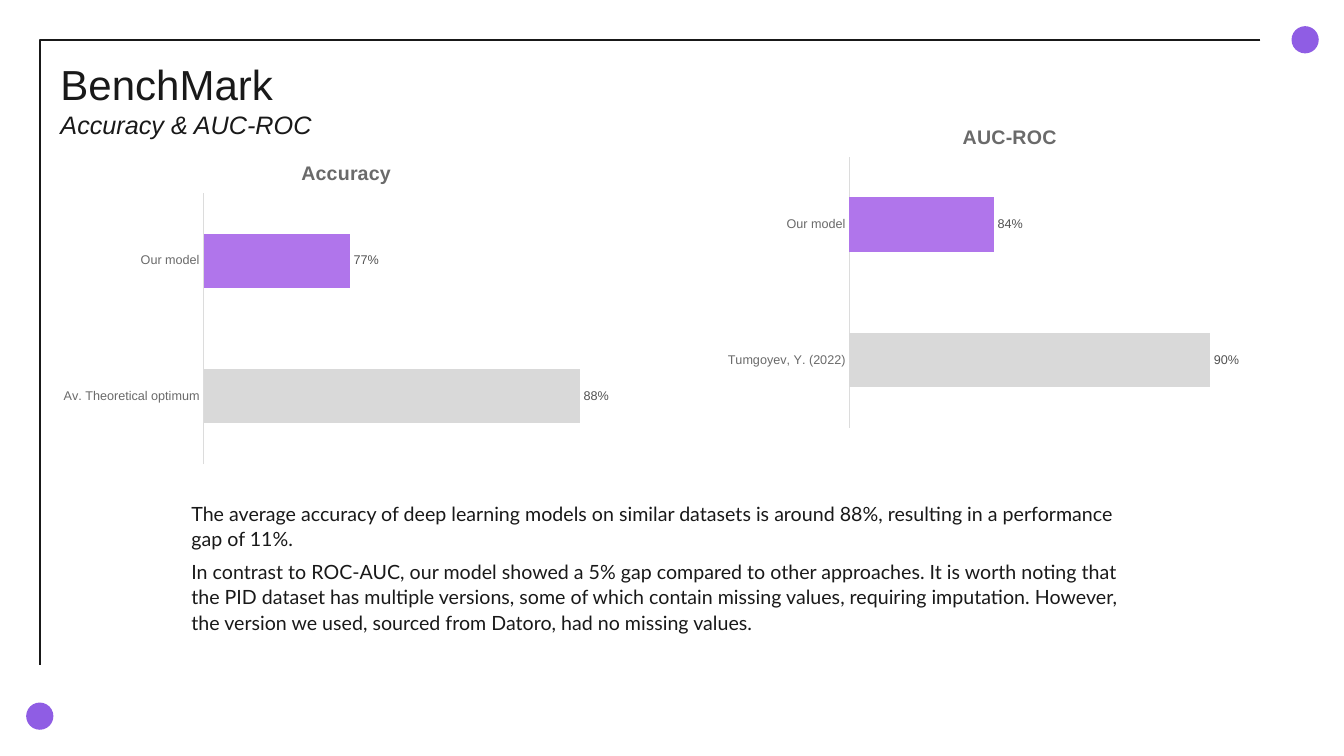
from dataclasses import dataclass

from lxml import etree
from pptx import Presentation
from pptx.chart.data import CategoryChartData
from pptx.dml.color import RGBColor
from pptx.enum.chart import XL_CHART_TYPE, XL_LABEL_POSITION, XL_TICK_MARK
from pptx.enum.shapes import MSO_SHAPE
from pptx.enum.text import MSO_ANCHOR, MSO_AUTO_SIZE, PP_ALIGN
from pptx.oxml.ns import qn
from pptx.util import Inches, Pt

BAR = XL_CHART_TYPE.BAR_CLUSTERED
LABEL_OUTSIDE = XL_LABEL_POSITION.OUTSIDE_END
NO_TICK = XL_TICK_MARK.NONE
ELLIPSE = MSO_SHAPE.OVAL
TOP, LEFT = MSO_ANCHOR.TOP, PP_ALIGN.LEFT
NO_FIT = MSO_AUTO_SIZE.NONE

COLORS = {
    "ink": "191919", "dot": "8F5DE4", "model": "B075EB", "reference": "D9D9D9",
    "axis": "DCDCDC", "category": "6A6A6A", "value": "525252",
}
COLUMNS, ROWS = 133.3, 75
CELL = Inches(0.1)
DOT_SIZE = 2.7


@dataclass(frozen=True)
class Area:
    """A place on the grid, in columns and rows."""
    column: float
    row: float
    columns: float
    rows: float

    def lengths(self) -> list[int]:
        return [round(n * CELL) for n in (self.column, self.row, self.columns, self.rows)]


@dataclass(frozen=True)
class Benchmark:
    title: str
    area: Area
    reference: str
    reference_score: float
    model_score: float
    axis_range: tuple[float, float]
    plot_left: float
    plot_width: float


BENCHMARKS = [
    Benchmark("Accuracy", Area(5, 13.9, 58.4, 32.8), "Av. Theoretical optimum",
              0.88, 0.77, (0.7, 0.9), 0.26, 0.71),
    Benchmark("AUC-ROC", Area(71.1, 10.3, 57.2, 32.8), "Tumgoyev, Y. (2022)",
              0.9, 0.84, (0.8, 0.92), 0.23, 0.75),
]
DOTS = [Area(128.1, 2.6, DOT_SIZE, DOT_SIZE), Area(2.6, 69.7, DOT_SIZE, DOT_SIZE)]
FRAME_CORNERS = [(124.7, 3.95), (4, 3.95), (4, 66.4)]
TITLE_AREA = Area(5, 4.4, 112.3, 8.4)
NOTES_AREA = Area(18, 49.1, 95.6, 14.4)
FINDINGS = [
    "The average accuracy of deep learning models on similar datasets is around 88%, "
    "resulting in a performance gap of 11%.",
    "In contrast to ROC-AUC, our model showed a 5% gap compared to other approaches. "
    "It is worth noting that the PID dataset has multiple versions, some of which contain "
    "missing values, requiring imputation. However, the version we used, sourced from "
    "Datoro, had no missing values.",
]


def apply(target, **values) -> None:
    for name, value in values.items():
        setattr(target, name, value)


def color(name: str) -> RGBColor:
    return RGBColor.from_string(COLORS[name])


def set_font(font, size: float, ink: str, name: str = "Arial", **styles) -> None:
    apply(font, size=Pt(size), name=name, **styles)
    font.color.rgb = color(ink)


def paint(target, name: str) -> None:
    target.fill.solid()
    target.fill.fore_color.rgb = color(name)


def add_frame(page) -> None:
    start, *corners = FRAME_CORNERS
    builder = page.shapes.build_freeform(*start, scale=CELL)
    builder.add_line_segments(corners, close=False)
    frame = builder.convert_to_shape()
    frame.shadow.inherit = False
    frame.fill.background()
    frame.line.color.rgb = color("ink")
    frame.line.width = Pt(1.5)


def add_dot(page, area: Area) -> None:
    dot = page.shapes.add_shape(ELLIPSE, *area.lengths())
    dot.shadow.inherit = False
    paint(dot, "dot")
    dot.line.fill.background()


def add_title(page) -> None:
    title = page.shapes.title
    apply(title, **dict(zip(("left", "top", "width", "height"), TITLE_AREA.lengths())))
    box = title.text_frame
    apply(box, auto_size=NO_FIT, word_wrap=True, vertical_anchor=TOP,
          margin_left=CELL, margin_right=CELL, margin_top=Inches(0.14), margin_bottom=CELL)
    para = box.paragraphs[0]
    para.alignment = LEFT
    heading = para.add_run()
    heading.text = "BenchMark"
    set_font(heading.font, 30, "ink")
    para.add_line_break()
    subtitle = para.add_run()
    subtitle.text = "Accuracy & AUC-ROC"
    set_font(subtitle.font, 18, "ink", italic=True)


def place_part(part, index: int, inner: bool = False, **shares: float) -> None:
    """Fix a chart part's place, as shares of the chart's size."""
    for old in part.findall(qn("c:layout")):
        part.remove(old)
    layout = etree.Element(qn("c:layout"))
    manual = etree.SubElement(layout, qn("c:manualLayout"))
    settings = {"layoutTarget": "inner"} if inner else {}
    settings |= {"xMode": "edge", "yMode": "edge"} | shares
    for name, value in settings.items():
        etree.SubElement(manual, qn(f"c:{name}")).set("val", str(value))
    part.insert(index, layout)


def add_benchmark(page, benchmark: Benchmark) -> None:
    scores = CategoryChartData(number_format="0%")
    scores.categories = [benchmark.reference, "Our model"]
    scores.add_series("Series 1", (benchmark.reference_score, benchmark.model_score))
    chart = page.shapes.add_chart(BAR, *benchmark.area.lengths(), scores).chart
    set_font(chart.font, 10, "ink")
    chart.has_legend = False

    # Title
    chart.has_title = True
    para = chart.chart_title.text_frame.paragraphs[0]
    span = para.add_run()
    span.text = benchmark.title
    set_font(span.font, 14, "category", bold=True)

    # Axes
    names, values = chart.category_axis, chart.value_axis
    apply(names, major_tick_mark=NO_TICK, minor_tick_mark=NO_TICK, has_major_gridlines=False)
    set_font(names.tick_labels.font, 9, "category")
    names.format.line.color.rgb = color("axis")
    names.format.line.width = Pt(0.75)
    low, high = benchmark.axis_range
    apply(values, minimum_scale=low, maximum_scale=high, has_major_gridlines=False, visible=False)
    values.tick_labels.number_format = "0%"

    # Bars and labels
    plot = chart.plots[0]
    apply(plot, gap_width=150, overlap=-25, vary_by_categories=False, has_data_labels=True)
    apply(plot.data_labels, show_value=True, number_format="0%",
          number_format_is_linked=False, position=LABEL_OUTSIDE)
    set_font(plot.data_labels.font, 9, "value")
    bars = plot.series[0]
    paint(bars.format, "model")
    paint(bars.points[0].format, "reference")

    # Places inside the chart
    place_part(chart.element.find(f".//{qn('c:title')}"), 1, x=0.42, y=0.05)
    place_part(chart.element.find(f".//{qn('c:plotArea')}"), 0, inner=True,
               x=benchmark.plot_left, y=0.16, w=benchmark.plot_width, h=0.82)


def add_findings(page) -> None:
    box = page.shapes.add_textbox(*NOTES_AREA.lengths()).text_frame
    box.word_wrap = True
    for index, finding in enumerate(FINDINGS):
        para = box.add_paragraph() if index else box.paragraphs[0]
        apply(para, line_spacing=1.07, space_after=Pt(6))
        span = para.add_run()
        span.text = finding
        set_font(span.font, 14, "ink", "Lato")


def main() -> None:
    deck = Presentation()
    apply(deck, slide_width=round(COLUMNS * CELL), slide_height=ROWS * CELL)
    page = deck.slides.add_slide(deck.slide_layouts.get_by_name("Title Only"))
    add_frame(page)
    for area in DOTS:
        add_dot(page, area)
    add_title(page)
    for benchmark in BENCHMARKS:
        add_benchmark(page, benchmark)
    add_findings(page)
    deck.save("out.pptx")


if __name__ == "__main__":
    main()
